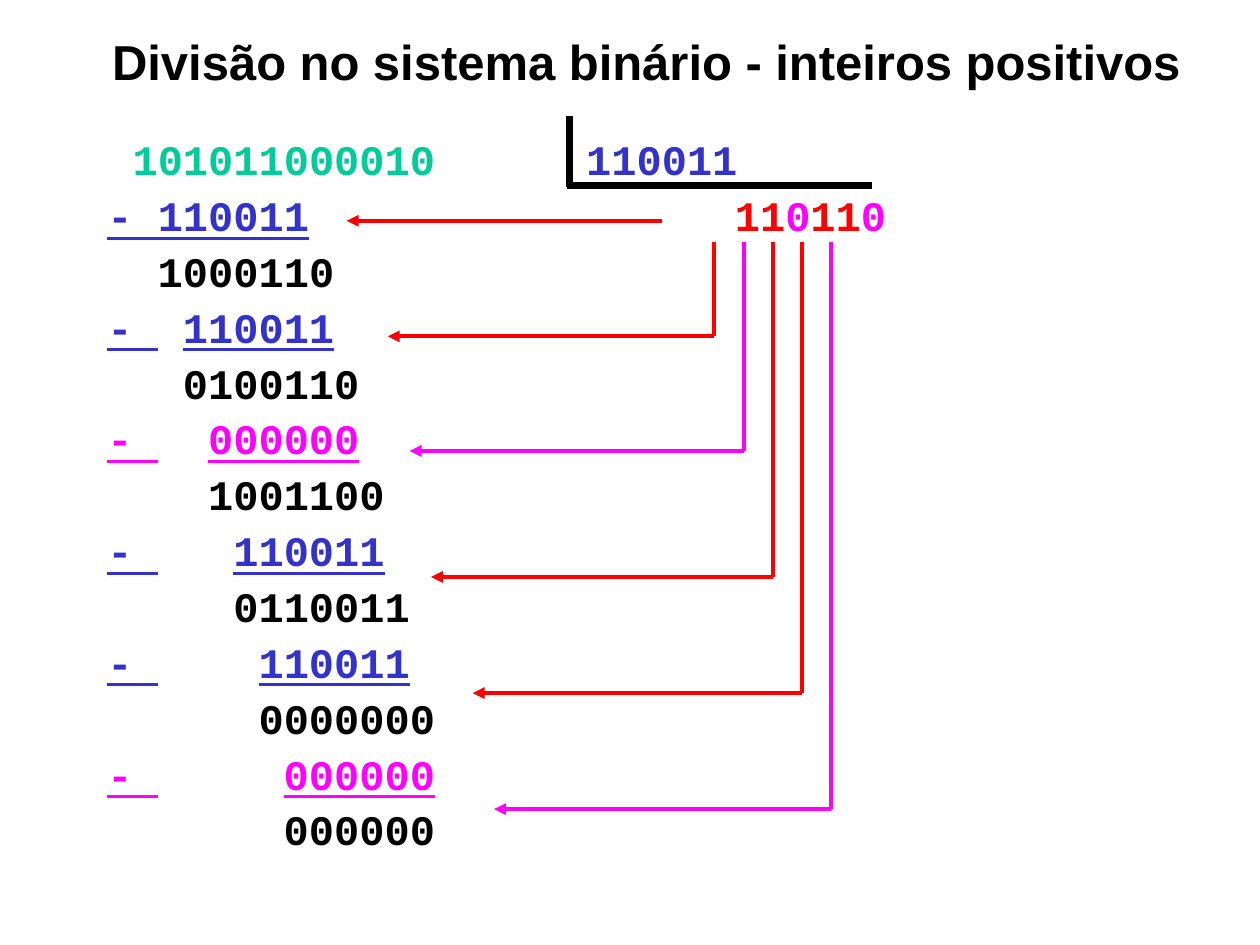
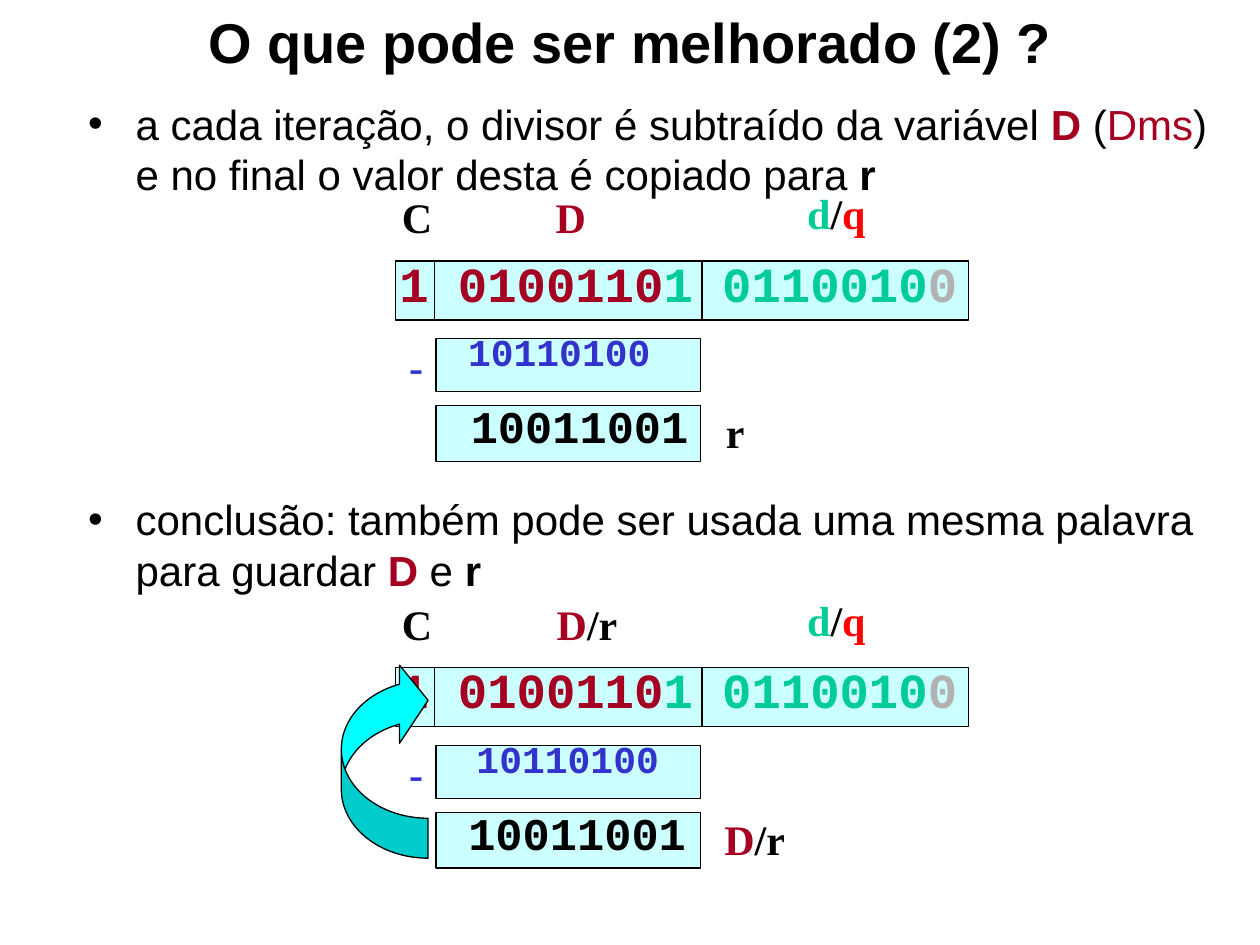
from lxml import etree
from pptx import Presentation
from pptx import util as u
from pptx.dml.color import RGBColor
from pptx.enum import shapes, text
from pptx.oxml import ns

Cm, Pt = u.Cm, u.Pt
COLOURS = {
    "black": "000000", "green": "00CC99", "blue": "3333CC", "red": "FF0000",
    "magenta": "FF00FF", "wine": "A50021", "grey": "B2B2B2",
    "cell": "CCFFFF", "arrow": "00FFFF",
}
SANS, MONO, SERIF = "Arial", "Courier New", "Times New Roman"
CHARACTER = 14.4  # points, width of one 24 pt Courier New character
LEFT, CENTRE, RIGHT = text.PP_ALIGN.LEFT, text.PP_ALIGN.CENTER, text.PP_ALIGN.RIGHT


def colour(name):
    return RGBColor.from_string(COLOURS[name])


def add_child(parent, tag, **attributes):
    return etree.SubElement(parent, ns.qn(tag), attributes)


def write_span(para, words, shade="black", font=SANS, size=24, bold=False,
               underline=False, columns=1):
    """A span; columns widens each character to that many columns."""
    span = para.add_run()
    span.text = words
    span.font.name, span.font.size = font, Pt(size)
    span.font.bold, span.font.underline = bold, underline
    span.font.color.rgb = colour(shade)
    if columns > 1:
        span.font._element.set("spc", str(round((columns - 1) * CHARACTER * 100)))


class Page:
    """The current slide and the style of its elements."""

    def __init__(self, deck):
        self.slide = deck.slides.add_slide(deck.slide_layouts[1])
        self.shapes = self.slide.shapes

    def place(self, box, left, top, width, height):
        box.left, box.top, box.width, box.height = Cm(left), Cm(top), Cm(width), Cm(height)

    def title(self, words, size, place, spacing=1.0):
        box = self.shapes.title
        self.place(box, *place)
        box.text_frame.auto_size = text.MSO_AUTO_SIZE.NONE
        box.text_frame.vertical_anchor = text.MSO_ANCHOR.MIDDLE
        para = box.text_frame.paragraphs[0]
        para.alignment, para.line_spacing = CENTRE, spacing
        write_span(para, words, size=size, bold=True)

    def body(self, paragraphs, place, leading, bullet=False, **style):
        """Each paragraph is (space before, indent in columns, spans)."""
        box = self.slide.placeholders[1]
        self.place(box, *place)
        frame = box.text_frame
        frame.auto_size = text.MSO_AUTO_SIZE.NONE
        frame.vertical_anchor = text.MSO_ANCHOR.TOP
        for number, (before, column, spans) in enumerate(paragraphs):
            para = frame.add_paragraph() if number else frame.paragraphs[0]
            properties = para._p.get_or_add_pPr()
            hanging = Cm(0.96) if bullet else 0
            properties.set("marL", str(hanging + Pt(column * CHARACTER)))
            properties.set("indent", str(-hanging))
            if bullet:
                add_child(properties, "a:buFont", typeface=SANS)
                add_child(properties, "a:buChar", char="•")
            else:
                add_child(properties, "a:buNone")
            para.line_spacing, para.space_before = Pt(leading), Pt(before)
            for words, options in spans:
                write_span(para, words, **{**style, **options})

    def label(self, spans, place, align=CENTRE, inset=0, leading=None, **style):
        box = self.shapes.add_textbox(*map(Cm, place))
        frame = box.text_frame
        frame.word_wrap = True
        frame.margin_left = frame.margin_right = Cm(inset)
        frame.margin_top = frame.margin_bottom = Cm(inset / 2)
        para = frame.paragraphs[0]
        para.alignment = align
        if leading:
            para.line_spacing = Pt(leading)
        for words, shade in spans:
            write_span(para, words, shade, bold=True, **style)

    def shape(self, kind, place, fill):
        box = self.shapes.add_shape(kind, *map(Cm, place))
        box.shadow.inherit = False
        box.fill.solid()
        box.fill.fore_color.rgb = colour(fill)
        box.line.color.rgb = colour("black")
        box.line.width = Pt(0.75)
        return box

    def line(self, start, end, shade, width=2.25, arrow=False):
        line = self.shapes.add_connector(shapes.MSO_CONNECTOR.STRAIGHT, *map(Cm, start + end))
        line.line.color.rgb = colour(shade)
        line.line.width = Pt(width)
        if arrow:
            add_child(line.line._get_or_add_ln(), "a:headEnd", type="triangle")
        add_child(line._element.spPr, "a:effectLst")


def build_division(deck):
    page = Page(deck)
    page.title("Divisão no sistema binário - inteiros positivos", 28,
               (1.7, 0.43, 22.66, 1.9), spacing=0.7)

    # Long division, one subtraction per quotient digit
    divisor = "110011"
    steps = [(divisor, "1000110"), (divisor, "0100110"), ("000000", "1001100"),
             (divisor, "0110011"), (divisor, "0000000"), ("000000", "000000")]
    quotient = [("11", "red"), ("0", "magenta"), ("11", "red"), ("0", "magenta")]
    rows = [(0, 1, [("101011000010", {"shade": "green"}), (" ", {"columns": 6}),
                    (divisor, {"shade": "blue"})])]
    for column, (subtrahend, remainder) in enumerate(steps, start=2):
        look = {"shade": "blue" if subtrahend == divisor else "magenta", "underline": True}
        spans = [("-", look), (" ", {**look, "columns": column - 1}), (subtrahend, look)]
        if column == 2:
            spans.append((" ", {"columns": 16.9}))
            spans += [(digits, {"shade": tint}) for digits, tint in quotient]
        rows.append((6, 0, spans))
        rows.append((6, column, [(remainder, {})]))
    page.body(rows, (1.91, 2.67, 23.49, 15.67), 25.9, font=MONO, bold=True)

    # Division bracket
    page.line((11.48, 2.34), (11.48, 3.76), "black", 4)
    page.line((11.43, 3.73), (17.58, 3.73), "black", 4)

    # From each quotient digit to its subtraction
    page.line((6.99, 4.45), (13.34, 4.45), "red", arrow=True)
    branches = [(7.82, 6.78, "red"), (8.26, 9.09, "magenta"), (8.69, 11.63, "red"),
                (9.53, 13.97, "red"), (9.96, 16.31, "magenta")]
    for number, (tip, level, shade) in enumerate(branches):
        column = 14.4 + 0.59 * number
        page.line((tip, level), (column, level), shade, arrow=True)
        page.line((column, 4.88), (column, level), shade)


def draw_subtraction(page, top, dividend, remainder, divisor_left, result_left):
    """Register C, D, d/q with the subtraction below it."""
    wide = 1.27 if len(dividend) > 1 else 0.61
    result_wide = 1.27 if len(remainder) > 1 else 0.48
    cells = [(7.98, 0, 0.79, 1.19), (8.76, 0, 5.38, 1.19), (14.15, 0, 5.38, 1.19),
             (8.79, 1.57, 5.33, 1.07), (8.79, 2.92, 5.33, 1.12)]
    for left, down, width, height in cells:
        page.shape(shapes.MSO_SHAPE.RECTANGLE, (left, top + down, width, height), "cell")

    # Binary words
    digits = {"font": MONO, "inset": 0.25}
    page.label([("1 0100110", "wine"), ("1 0110010", "green"), ("0", "grey")],
               (7.8, top + 0.02, 12.09, 1.12), LEFT, leading=25, size=28, **digits)
    page.label([("10110100", "blue")], (divisor_left, top + 1.57, 5.97, 0.91),
               leading=16.5, size=21.7, **digits)
    page.label([("10011001", "black")], (result_left, top + 2.94, 6.05, 1.07),
               RIGHT, leading=22.5, size=25.9, **digits)

    # Names of the words
    names = [([("C", "black")], 8.1, -1.4, 0.61),
             (dividend, 11.2, -1.4, wide),
             ([("d", "green"), ("/", "black"), ("q", "red")], 16.15, -1.47, 1.42),
             ([("-", "blue")], 8.15, 1.6, 0.48),
             (remainder, 14.58, 2.94, result_wide)]
    for spans, left, down, width in names:
        page.label(spans, (left, top + down, width, 1.02), font=SERIF)


def build_improvement(deck):
    page = Page(deck)
    page.title("O que pode ser melhorado (2) ?", 32, (1.91, 0, 21.59, 1.65))
    dividend = ("D", {"shade": "wine", "bold": True})
    remainder = ("r", {"bold": True})
    page.body([
        (0, 0, [("a cada iteração, o divisor é subtraído da variável ", {}), dividend,
                (" (", {}), ("Dms", {"shade": "wine"}),
                (") e no final o valor desta é copiado para ", {}), remainder]),
        (168.5, 0, [("conclusão: também pode ser usada uma mesma palavra para guardar ", {}),
                    dividend, (" e ", {}), remainder]),
    ], (1.52, 1.85, 23.49, 10.69), 28.8, bullet=True)

    # Separate words, then one shared word
    shared = [("D", "wine"), ("/r", "black")]
    draw_subtraction(page, 5.26, [("D", "wine")], [("r", "black")], 8.29, 8.08)
    draw_subtraction(page, 13.46, shared, shared, 8.46, 8.03)

    # Result goes back to the register
    arrow = page.shape(shapes.MSO_SHAPE.CURVED_LEFT_ARROW, (6.88, 13.33, 1.75, 3.97), "arrow")
    arrow.rotation = 180
    for number, value in enumerate((0.46, 0.9, 0.33)):
        arrow.adjustments[number] = value


def main():
    deck = Presentation()
    deck.slide_width, deck.slide_height = Cm(25.4), Cm(19.05)
    build_division(deck)
    build_improvement(deck)
    deck.save("out.pptx")


if __name__ == "__main__":
    main()
